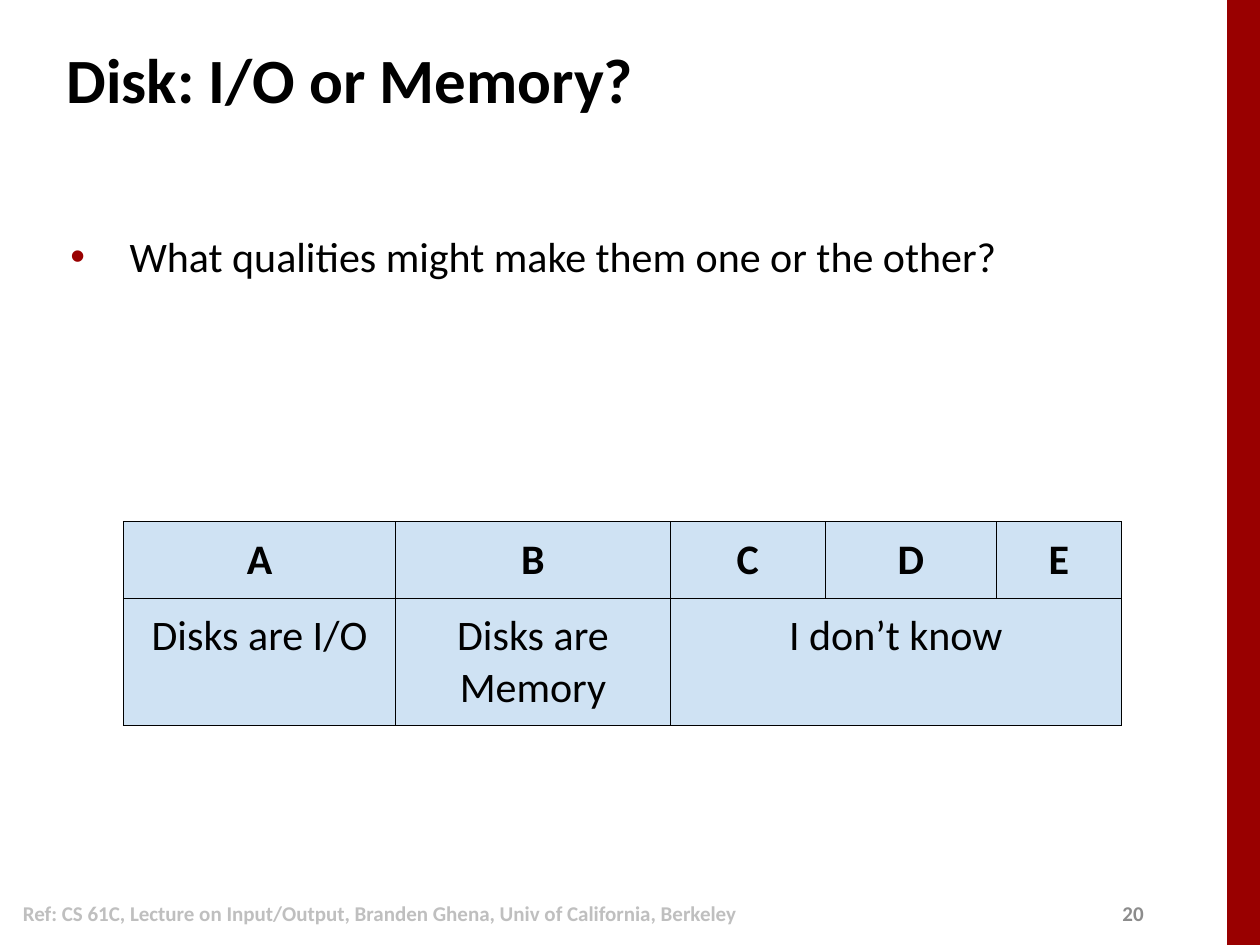
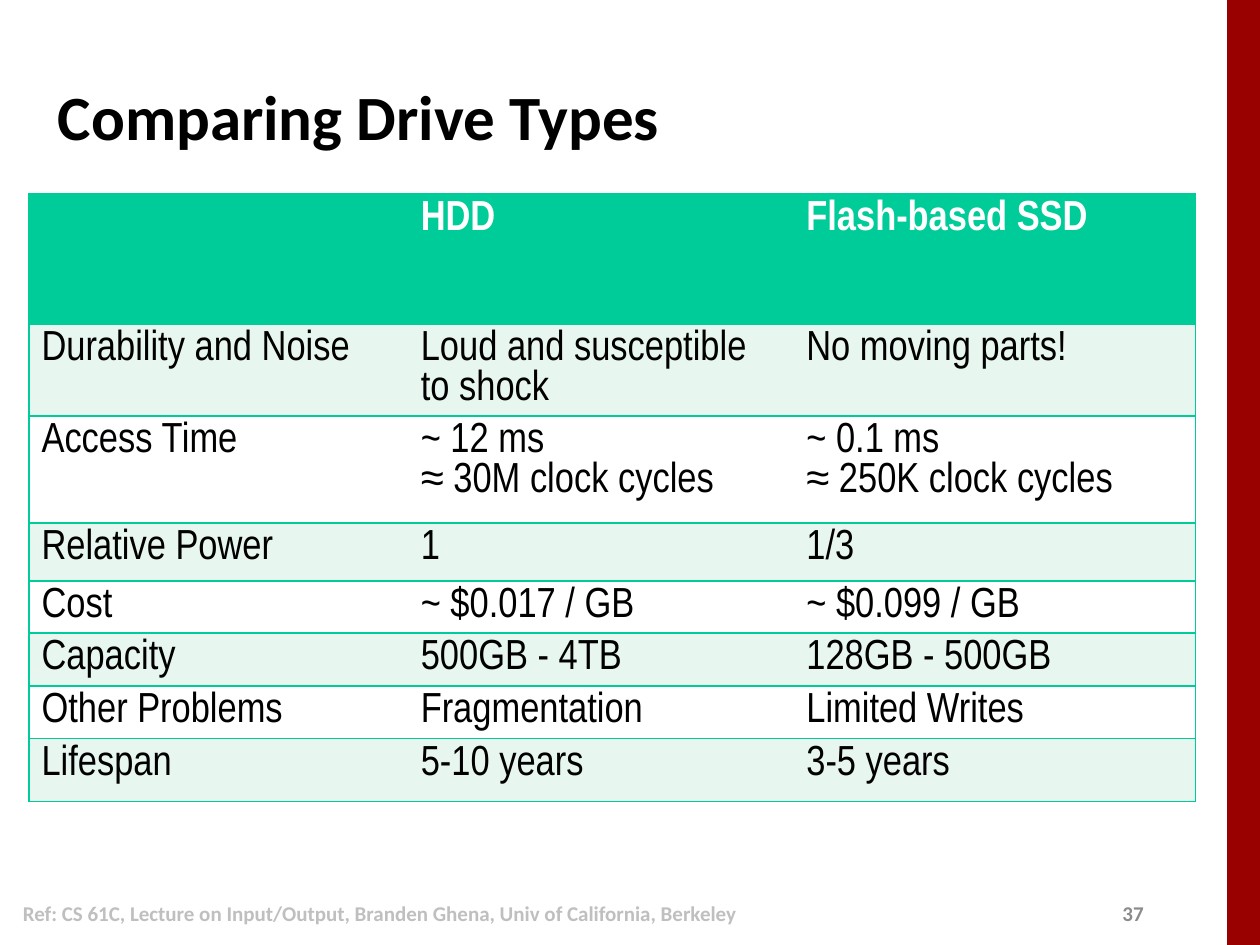
import pptx
import pptx.dml.color
import pptx.enum.shapes
import pptx.enum.text
import pptx.oxml.ns
import pptx.util
from lxml import etree

Inches = pptx.util.Inches
Pt = pptx.util.Pt
ALIGN = pptx.enum.text.PP_ALIGN
ANCHOR = pptx.enum.text.MSO_ANCHOR

BLACK, WHITE, RED = "000000", "FFFFFF", "990000"
FOOTER_GREY, NUMBER_GREY = "BFBFBF", "8C8C8C"
PALE_BLUE, GREEN, PALE_GREEN = "CFE2F3", "00CC99", "E7F6EF"
HEADING_FONT, COMPARISON_FONT = "Calibri", "Arial Narrow"
FOOTER = ("Ref: CS 61C, Lecture on Input/Output, Branden Ghena, "
          "Univ of California, Berkeley ")

ANSWERS = [
    ["A", "B", "C", "D", "E"],
    ["Disks are I/O", "Disks are Memory", "I don’t know", "", ""],
]
DRIVES = [
    ["", "HDD", "Flash-based SSD"],
    ["Durability and Noise", "Loud and susceptible to shock", "No moving parts!"],
    ["Access Time", "~ 12 ms \n≈ 30M clock cycles", "~ 0.1 ms\n≈ 250K clock cycles"],
    ["Relative Power", "1", "1/3"],
    ["Cost", "~ $0.017 / GB", "~ $0.099 / GB"],
    ["Capacity", "500GB - 4TB", "128GB - 500GB"],
    ["Other Problems", "Fragmentation", "Limited Writes"],
    ["Lifespan", "5-10 years", "3-5 years"],
]


def rgb(colour):
    return pptx.dml.color.RGBColor.from_string(colour)


def add_xml(parent, tag, **attributes):
    return etree.SubElement(parent, pptx.oxml.ns.qn(tag), attributes)


def style_font(font, size, colour, bold=False, name=HEADING_FONT):
    font.name, font.size, font.bold = name, Pt(size), bold
    font.color.rgb = rgb(colour)


def add_text(paragraph, text, size, colour, bold=False, name=HEADING_FONT):
    """Add one run per line, with line breaks between them."""
    style_font(paragraph.font, size, colour, bold, name)
    for index, line in enumerate(text.split("\n")):
        if index:
            paragraph.add_line_break()
        run = paragraph.add_run()
        run.text = line
        style_font(run.font, size, colour, bold, name)


def set_margins(target, horizontal, vertical):
    target.margin_left = target.margin_right = Inches(horizontal)
    target.margin_top = target.margin_bottom = Inches(vertical)


def add_text_box(slide, box, anchor=ANCHOR.MIDDLE, vertical_margin=0.05):
    frame = slide.shapes.add_textbox(*map(Inches, box)).text_frame
    frame.word_wrap = True
    frame.vertical_anchor = anchor
    set_margins(frame, 0.1, vertical_margin)
    return frame


def set_title(slide, text, box):
    title = slide.shapes.title
    title.left, title.top, title.width, title.height = map(Inches, box)
    frame = title.text_frame
    frame.auto_size = pptx.enum.text.MSO_AUTO_SIZE.NONE
    frame.vertical_anchor = ANCHOR.MIDDLE
    set_margins(frame, 0.1, 0.1)
    paragraph = frame.paragraphs[0]
    paragraph.alignment = ALIGN.LEFT
    add_text(paragraph, text, 36, BLACK, bold=True)


def add_slide(presentation, title, title_box, number):
    """Add a slide with the title, side band, page number and footer."""
    slide = presentation.slides.add_slide(presentation.slide_layouts[5])
    set_title(slide, title, title_box)
    band = slide.shapes.add_shape(
        pptx.enum.shapes.MSO_SHAPE.RECTANGLE,
        Inches(9.74), Inches(0), Inches(0.26), Inches(7.5))
    band.shadow.inherit = False
    band.fill.solid()
    band.fill.fore_color.rgb = rgb(RED)
    band.line.fill.background()

    page = add_text_box(slide, (8.81, 7.1, 0.4, 0.3))
    add_text(page.paragraphs[0], str(number), 12, NUMBER_GREY, bold=True)
    footer = add_text_box(slide, (0.04, 7, 5.99, 0.5))
    footer.paragraphs[0].alignment = ALIGN.CENTER
    add_text(footer.paragraphs[0], FOOTER, 12, FOOTER_GREY, bold=True)
    return slide


def add_bullet(slide, text, box):
    frame = add_text_box(slide, box, ANCHOR.TOP, vertical_margin=0.1)
    frame.margin_top = Inches(0.74)
    paragraph = frame.paragraphs[0]
    properties = paragraph._p.get_or_add_pPr()
    properties.set("marL", str(Inches(0.5)))
    properties.set("indent", str(Inches(-0.47)))
    add_xml(add_xml(properties, "a:buClr"), "a:srgbClr", val=RED)
    add_xml(properties, "a:buFont", typeface="Arial")
    add_xml(properties, "a:buChar", char="•")
    add_text(paragraph, text, 24, BLACK)


def set_borders(cell, colour, sides, width):
    """Draw the named sides (from "LRTB") and hide the others."""
    properties = cell._tc.get_or_add_tcPr()
    for side in "LRTB":
        line = add_xml(properties, f"a:ln{side}", w=str(Pt(width)))
        if side in sides:
            add_xml(add_xml(line, "a:solidFill"), "a:srgbClr", val=colour)
        else:
            add_xml(line, "a:noFill")


def add_table(slide, rows, left, top, widths, heights):
    table = slide.shapes.add_table(
        len(rows), len(widths), Inches(left), Inches(top),
        Inches(sum(widths)), Inches(sum(heights))).table
    for column, width in zip(table.columns, widths):
        column.width = Inches(width)
    for row, height in zip(table.rows, heights):
        row.height = Inches(height)
    return table


def fill_cell(cell, text, colour, fill, margin, bold, name):
    set_margins(cell, 0.1, margin)
    cell.fill.solid()
    cell.fill.fore_color.rgb = rgb(fill)
    if text:
        add_text(cell.text_frame.paragraphs[0], text, 24, colour, bold, name)


def add_answer_table(slide):
    table = add_table(slide, ANSWERS, 0.98, 4.14,
                      [2.16, 2.18, 1.23, 1.36, 0.99], [0.61, 1.01])
    for r, texts in enumerate(ANSWERS):
        for c, text in enumerate(texts):
            cell = table.cell(r, c)
            set_borders(cell, BLACK, "LRTB", 0.75)
            fill_cell(cell, text, BLACK, PALE_BLUE, 0.1, r == 0, HEADING_FONT)
            cell.text_frame.paragraphs[0].alignment = ALIGN.CENTER
    table.cell(1, 2).merge(table.cell(1, 4))


def add_drive_table(slide):
    table = add_table(slide, DRIVES, 0.23, 1.54, [3.01, 3.06, 3.19],
                      [1.03, 0.73, 0.85, 0.46, 0.41, 0.42, 0.42, 0.5])
    for r, texts in enumerate(DRIVES):
        header = r == 0
        fill = GREEN if header else PALE_GREEN if r % 2 else WHITE
        for c, text in enumerate(texts):
            cell = table.cell(r, c)
            set_borders(cell, GREEN, ("LTB", "TB", "RTB")[c], 1)
            cell.text_frame.paragraphs[0].line_spacing = Pt(22.5)
            fill_cell(cell, text, WHITE if header else BLACK, fill,
                      0.05, header, COMPARISON_FONT)


def main():
    presentation = pptx.Presentation()
    presentation.slide_width = Inches(10)
    presentation.slide_height = Inches(7.5)

    disk = add_slide(presentation, "Disk: I/O or Memory?", (0.43, 0.21, 8.3, 0.83), 20)
    add_bullet(disk, "What qualities might make them one or the other?",
               (0.43, 1.31, 8.64, 5.67))
    add_answer_table(disk)

    drives = add_slide(presentation, "Comparing Drive Types", (0.36, 0.29, 9, 1.25), 37)
    add_drive_table(drives)

    presentation.save("out.pptx")


if __name__ == "__main__":
    main()
